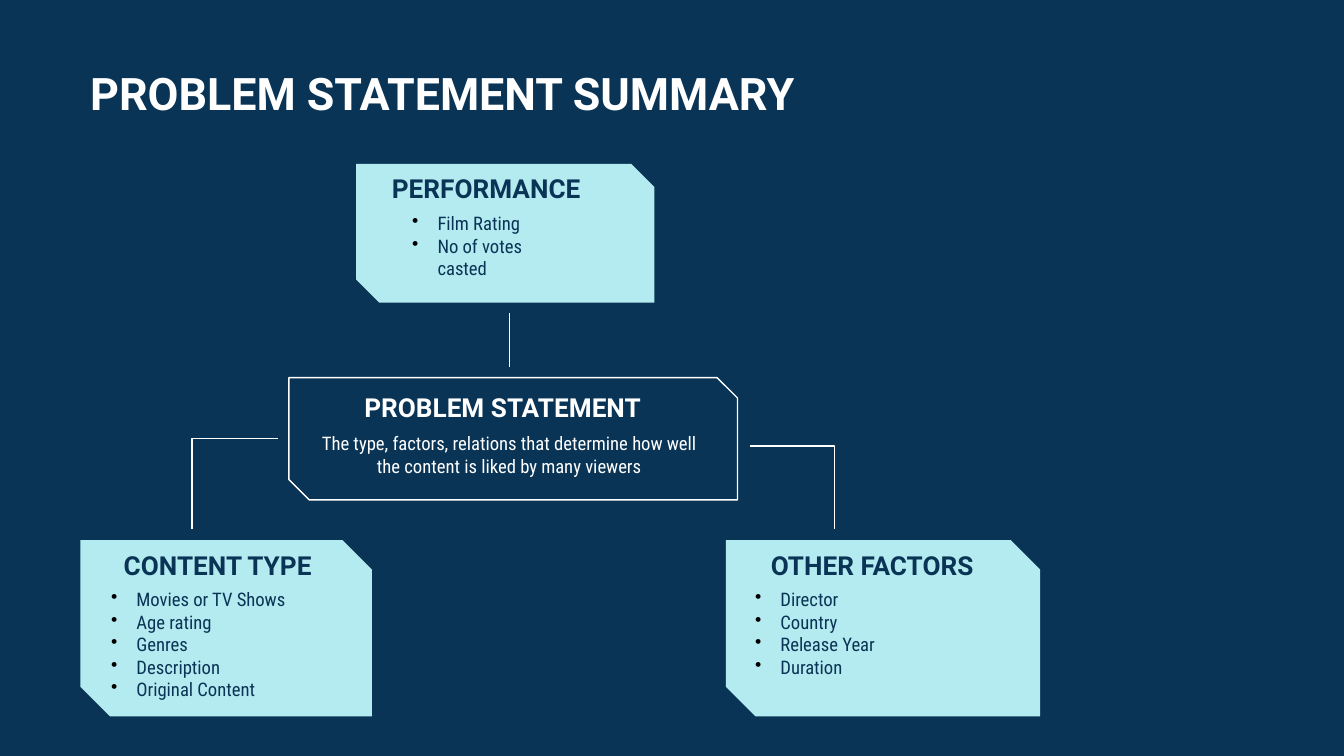
from dataclasses import dataclass
from typing import NamedTuple

from lxml.etree import SubElement
from pptx import Presentation
from pptx.dml.color import RGBColor as Rgb
from pptx.enum.shapes import MSO_CONNECTOR as Link, MSO_SHAPE as Form
from pptx.enum.text import MSO_ANCHOR as Anchor, PP_ALIGN as Align
from pptx.oxml.ns import qn
from pptx.util import Cm, Pt


@dataclass(frozen=True)
class Theme:
    navy: Rgb = Rgb(0x0A, 0x34, 0x55)
    aqua: Rgb = Rgb(0xB4, 0xEB, 0xF0)
    white: Rgb = Rgb(0xFF, 0xFF, 0xFF)
    bullet: str = "000000"
    bold: str = "Roboto"
    plain: str = "Roboto Condensed"
    title: float = 24
    head: float = 14
    body: float = 10
    line: float = 0.75


class Box(NamedTuple):
    """Left, top, width and height in centimetres."""
    x: float
    y: float
    w: float
    h: float

    def emu(self) -> list[Cm]:
        return [Cm(v) for v in self]


class Card(NamedTuple):
    frame: Box
    head: Box
    body: Box
    title: str
    lines: list[str]
    filled: bool = True


class Wire(NamedTuple):
    kind: Link
    start: tuple[float, float]
    end: tuple[float, float]


THEME = Theme()
CARDS = [
    Card(Box(1.52, 10.21, 5.51, 3.33), Box(1.65, 10.13, 4.93, 1.09),
         Box(1.85, 10.87, 4.47, 2.29), "CONTENT TYPE",
         ["Movies or TV Shows", "Age rating", "Genres", "Description",
          "Original Content"]),
    Card(Box(13.72, 10.21, 5.94, 3.33), Box(13.82, 10.13, 5.33, 1.09),
         Box(14.02, 10.87, 5.13, 2.67), "OTHER FACTORS",
         ["Director", "Country", "Release Year", "Duration"]),
    Card(Box(6.73, 3.1, 5.64, 2.62), Box(6.83, 3.02, 4.72, 1.09),
         Box(7.54, 3.76, 3.58, 1.73), "PERFORMANCE",
         ["Film Rating", "No of votes casted"]),
    Card(Box(5.46, 7.14, 8.48, 2.31), Box(6.58, 7.16, 5.84, 1.09),
         Box(5.77, 7.92, 7.7, 2.29), "PROBLEM STATEMENT",
         ["The type, factors, relations that determine how well "
          "the content is liked by many viewers"], False),
]
WIRES = [
    Wire(Link.STRAIGHT, (9.63, 5.92), (9.63, 6.93)),
    Wire(Link.ELBOW, (5.26, 8.29), (3.63, 10)),
    Wire(Link.ELBOW, (14.17, 8.43), (15.77, 10)),
]


def add_bullet(para) -> None:
    props = para._p.get_or_add_pPr()
    props.set("marL", str(Cm(0.48)))
    props.set("indent", str(-Cm(0.48)))
    tint = SubElement(props, qn("a:buClr"))
    SubElement(tint, qn("a:srgbClr")).set("val", THEME.bullet)
    SubElement(props, qn("a:buChar")).set("char", "•")


def add_text(slide, box: Box, lines: list[str], size: float, color: Rgb,
             bold: bool = True, bullets: bool = False,
             anchor: Anchor = Anchor.TOP) -> None:
    frame = slide.shapes.add_textbox(*box.emu()).text_frame
    frame.word_wrap = True
    frame.vertical_anchor = anchor
    frame.margin_left = frame.margin_right = Cm(0.25)
    frame.margin_top = frame.margin_bottom = Cm(0.25)
    for i, line in enumerate(lines):
        para = frame.add_paragraph() if i else frame.paragraphs[0]
        para.text = line
        if bullets:
            add_bullet(para)
        else:
            para.alignment = Align.CENTER
        font = para.font
        font.name = THEME.bold if bold else THEME.plain
        font.size, font.bold = Pt(size), bold
        font.color.rgb = color


def add_card(slide, card: Card) -> None:
    shape = slide.shapes.add_shape(Form.SNIP_2_DIAG_RECTANGLE,
                                   *card.frame.emu())
    shape.shadow.inherit = False
    shape.adjustments[0], shape.adjustments[1] = 0, 0.167
    if card.filled:
        shape.fill.solid()
        shape.fill.fore_color.rgb = THEME.aqua
        shape.line.fill.background()
    else:
        shape.fill.background()
        shape.line.color.rgb = THEME.white
        shape.line.width = Pt(THEME.line)
    color = THEME.navy if card.filled else THEME.white
    add_text(slide, card.head, [card.title], THEME.head, color,
             anchor=Anchor.BOTTOM)
    add_text(slide, card.body, card.lines, THEME.body, color,
             bold=False, bullets=card.filled)


def add_wire(slide, wire: Wire) -> None:
    """Draw a connector; an elbow runs sideways first, then down."""
    ends = [Cm(v) for v in wire.start + wire.end]
    link = slide.shapes.add_connector(wire.kind, *ends)
    link.line.color.rgb = THEME.white
    link.line.width = Pt(THEME.line)
    props = link._element.spPr
    SubElement(props, qn("a:effectLst"))
    if wire.kind == Link.ELBOW:
        guides = props.find(qn("a:prstGeom")).find(qn("a:avLst"))
        SubElement(guides, qn("a:gd"), name="adj1", fmla="val 100000")


def main() -> None:
    deck = Presentation()
    deck.slide_width, deck.slide_height = Cm(25.4), Cm(14.29)
    slide = deck.slides.add_slide(deck.slide_layouts[6])
    slide.background.fill.solid()
    slide.background.fill.fore_color.rgb = THEME.navy
    add_text(slide, Box(1.12, 0.99, 14.48, 2.62),
             ["PROBLEM STATEMENT SUMMARY"], THEME.title, THEME.white)
    for card in CARDS:
        add_card(slide, card)
    for wire in WIRES:
        add_wire(slide, wire)
    deck.save("out.pptx")


if __name__ == "__main__":
    main()
